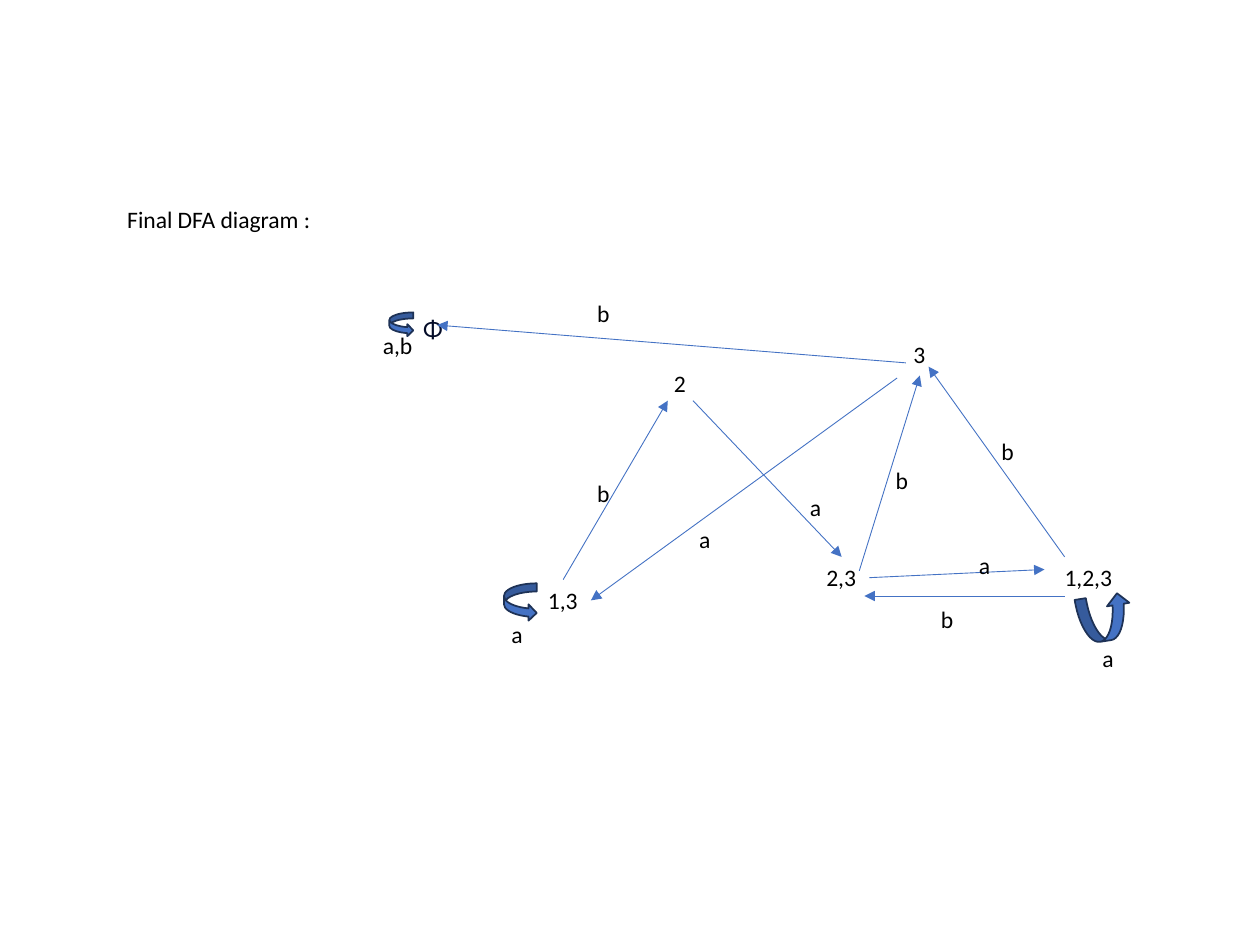
"""Build a slide with the state diagram of a DFA."""
import pptx
import pptx.dml.color
import pptx.enum.shapes
import pptx.enum.text
import pptx.oxml
import pptx.oxml.ns
import pptx.util
from pptx.util import Inches

BLACK = pptx.dml.color.RGBColor(0x00, 0x00, 0x00)
NAVY = pptx.dml.color.RGBColor(0x04, 0x0C, 0x28)
BLUE = pptx.dml.color.RGBColor(0x44, 0x72, 0xC4)
DARK_BLUE = pptx.dml.color.RGBColor(0x1E, 0x32, 0x56)
TEXT_HEIGHT = 0.33


def set_text(sp, text, font="Calibri", color=BLACK):
    tf = sp.text_frame
    tf.text = text
    tf.word_wrap = False
    tf.auto_size = pptx.enum.text.MSO_AUTO_SIZE.SHAPE_TO_FIT_TEXT
    tf.vertical_anchor = pptx.enum.text.MSO_ANCHOR.TOP
    p = tf.paragraphs[0]
    p.alignment = pptx.enum.text.PP_ALIGN.LEFT
    p.font.size = pptx.util.Pt(13.5)
    p.font.name = font
    p.font.color.rgb = color


def add_label(s, text, x, y, w, font="Calibri", color=BLACK):
    sp = s.shapes.add_textbox(Inches(x), Inches(y), Inches(w), Inches(TEXT_HEIGHT))
    set_text(sp, text, font, color)
    return sp


prs = pptx.Presentation()
prs.slide_width = Inches(10)
prs.slide_height = Inches(7.5)
s = prs.slides.add_slide(prs.slide_layouts[5])

title = s.shapes.title
title.left, title.top = Inches(0.91), Inches(1.58)
title.width, title.height = Inches(1.68), Inches(TEXT_HEIGHT)
set_text(title, "Final DFA diagram :")

add_label(s, "Φ", 3.26, 2.45, 0.35, "Lato", NAVY)
states = {}
for text, x, y, w in [
    ("2", 5.25, 2.88, 0.3),
    ("3", 7.15, 2.65, 0.3),
    ("1,3", 4.25, 4.6, 0.44),
    ("2,3", 6.46, 4.42, 0.44),
    ("1,2,3", 8.35, 4.42, 0.59),
]:
    states[text] = add_label(s, text, x, y, w)

transitions = [
    ((7.19, 2.88), (3.47, 2.58), None, None),
    ((5.5, 3.18), (6.69, 4.42), None, ("2,3", 0)),
    ((4.47, 4.6), (5.3, 3.18), ("1,3", 0), None),
    ((6.88, 4.58), (8.29, 4.52), ("2,3", 3), None),
    ((6.82, 4.53), (7.3, 2.98), None, ("3", 2)),
    ((8.45, 4.42), (7.37, 2.91), None, None),
    ((7.12, 3), (4.69, 4.77), None, ("1,3", 3)),
    ((8.45, 4.73), (6.86, 4.73), None, None),
]
for (x1, y1), (x2, y2), source, target in transitions:
    line = s.shapes.add_connector(
        pptx.enum.shapes.MSO_CONNECTOR.STRAIGHT,
        Inches(x1), Inches(y1), Inches(x2), Inches(y2),
    )
    if source:
        line.begin_connect(states[source[0]], source[1])
    if target:
        line.end_connect(states[target[0]], target[1])
    line.line.color.rgb = BLUE
    line.line.width = pptx.util.Pt(0.5)
    ln = line.line._get_or_add_ln()
    ln.append(pptx.oxml.parse_xml(
        f'<a:tailEnd {pptx.oxml.ns.nsdecls("a")} type="triangle"/>'))
    line._element.spPr.append(pptx.oxml.parse_xml(
        f'<a:effectLst {pptx.oxml.ns.nsdecls("a")}/>'))

for x, y, w, h, rotation in [
    (3.09, 2.48, 0.19, 0.19, 0),
    (4, 4.63, 0.26, 0.3, 0),
    (8.59, 4.69, 0.36, 0.43, 261),
]:
    sp = s.shapes.add_shape(
        pptx.enum.shapes.MSO_SHAPE.CURVED_RIGHT_ARROW,
        Inches(x), Inches(y), Inches(w), Inches(h),
    )
    sp.rotation = rotation
    sp.shadow.inherit = False
    sp.fill.solid()
    sp.fill.fore_color.rgb = BLUE
    sp.line.color.rgb = DARK_BLUE
    sp.line.width = pptx.util.Pt(1)

label_widths = {"a": 0.29, "b": 0.3, "a,b": 0.44}
for text, x, y in [
    ("b", 4.64, 2.32),
    ("b", 4.64, 3.75),
    ("a", 7.67, 4.32),
    ("b", 7.37, 4.75),
    ("a", 8.65, 5.06),
    ("b", 7.85, 3.42),
    ("b", 7.01, 3.65),
    ("a", 5.45, 4.12),
    ("a", 6.33, 3.86),
    ("a,b", 2.94, 2.58),
    ("a", 3.96, 4.87),
]:
    add_label(s, text, x, y, label_widths[text])

prs.save("out.pptx")
